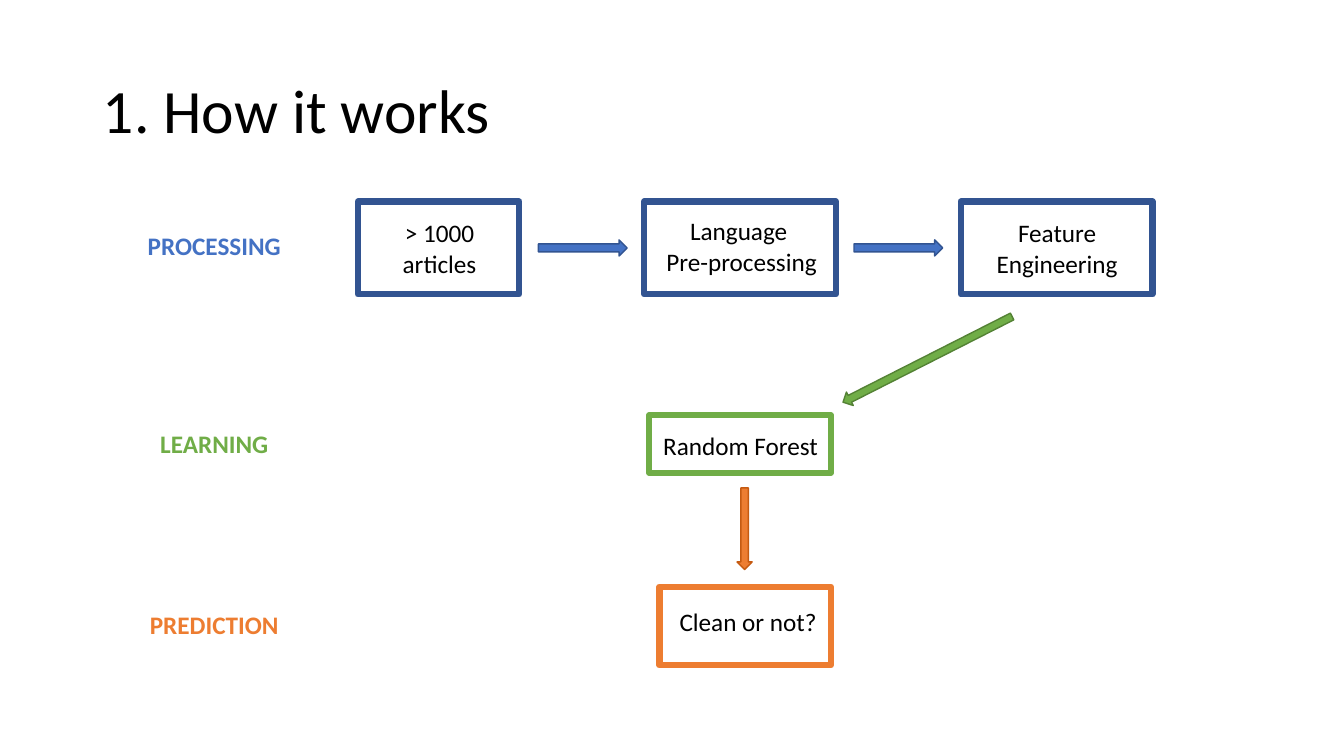
from pptx import Presentation
from pptx.dml.color import RGBColor
from pptx.enum import shapes, text
from pptx.util import Inches, Pt

COLORS = {
    "black": "000000",
    "blue": "4472C4",
    "dark_blue": "325491",
    "green": "70AD47",
    "dark_green": "548235",
    "orange": "ED7D31",
    "dark_orange": "C55A11",
}


def add_outlined_shape(kind, box, line, width, fill=None):
    shape = slide.shapes.add_shape(kind, *map(Inches, box))
    shape.shadow.inherit = False
    if fill:
        shape.fill.solid()
        shape.fill.fore_color.rgb = RGBColor.from_string(COLORS[fill])
    else:
        shape.fill.background()
    shape.line.color.rgb = RGBColor.from_string(COLORS[line])
    shape.line.width = Pt(width)
    return shape


def write_lines(frame, lines, size, color, alignment, bold=False):
    frame.word_wrap = True
    for index, line in enumerate(lines):
        paragraph = frame.add_paragraph() if index else frame.paragraphs[0]
        paragraph.alignment = alignment
        run = paragraph.add_run()
        run.text = line
        run.font.name = "Calibri"
        run.font.size = Pt(size)
        run.font.bold = bold
        run.font.color.rgb = RGBColor.from_string(COLORS[color])


presentation = Presentation()
presentation.slide_width = Inches(13.33)
presentation.slide_height = Inches(7.5)
slide = presentation.slides.add_slide(presentation.slide_layouts[5])

title = slide.shapes.title
title.left, title.top = Inches(0.92), Inches(0.4)
title.width, title.height = Inches(11.5), Inches(1.45)
title.text_frame.vertical_anchor = text.MSO_ANCHOR.MIDDLE
write_lines(title.text_frame, ["1. How it works"], 44, "black", text.PP_ALIGN.LEFT)
title.text_frame.paragraphs[0].line_spacing = 0.9

steps = [
    ((3.55, 2, 1.6, 0.92), "dark_blue"),
    ((6.39, 2, 1.9, 0.92), "dark_blue"),
    ((9.53, 2, 1.9, 0.92), "dark_blue"),
    ((6.44, 4.12, 1.8, 0.57), "green"),
    ((6.54, 5.82, 1.7, 0.78), "orange"),
]
for box, line in steps:
    add_outlined_shape(shapes.MSO_SHAPE.FLOWCHART_PROCESS, box, line, 4.5)

arrows = [
    ((5.34, 2.38, 0.88, 0.16), 0, "blue"),
    ((8.47, 2.38, 0.88, 0.16), 0, "blue"),
    ((8.26, 3.49, 1.88, 0.15), 153.1, "green"),
    ((6.98, 5.17, 0.81, 0.15), 90, "orange"),
]
for box, rotation, color in arrows:
    arrow = add_outlined_shape(
        shapes.MSO_SHAPE.RIGHT_ARROW, box, f"dark_{color}", 1, color
    )
    arrow.rotation = rotation

labels = [
    ((1.12, 2.24, 2.01, 0.4), ["PROCESSING"], "blue"),
    ((1.12, 4.2, 2.01, 0.4), ["LEARNING"], "green"),
    ((1.12, 6, 2.01, 0.4), ["PREDICTION"], "orange"),
    ((3.66, 2.11, 1.4, 0.71), ["> 1000 articles"], "black"),
    ((6.4, 2.09, 1.91, 0.71), ["Language ", "Pre-processing"], "black"),
    ((9.53, 2.11, 1.91, 0.71), ["Feature", "Engineering"], "black"),
    ((6.39, 4.22, 1.91, 0.4), ["Random Forest"], "black"),
    ((6.59, 5.97, 1.66, 0.4), ["Clean or not?"], "black"),
]
for box, lines, color in labels:
    frame = slide.shapes.add_textbox(*map(Inches, box)).text_frame
    frame.auto_size = text.MSO_AUTO_SIZE.SHAPE_TO_FIT_TEXT
    write_lines(frame, lines, 18, color, text.PP_ALIGN.CENTER, color != "black")

presentation.save("out.pptx")
